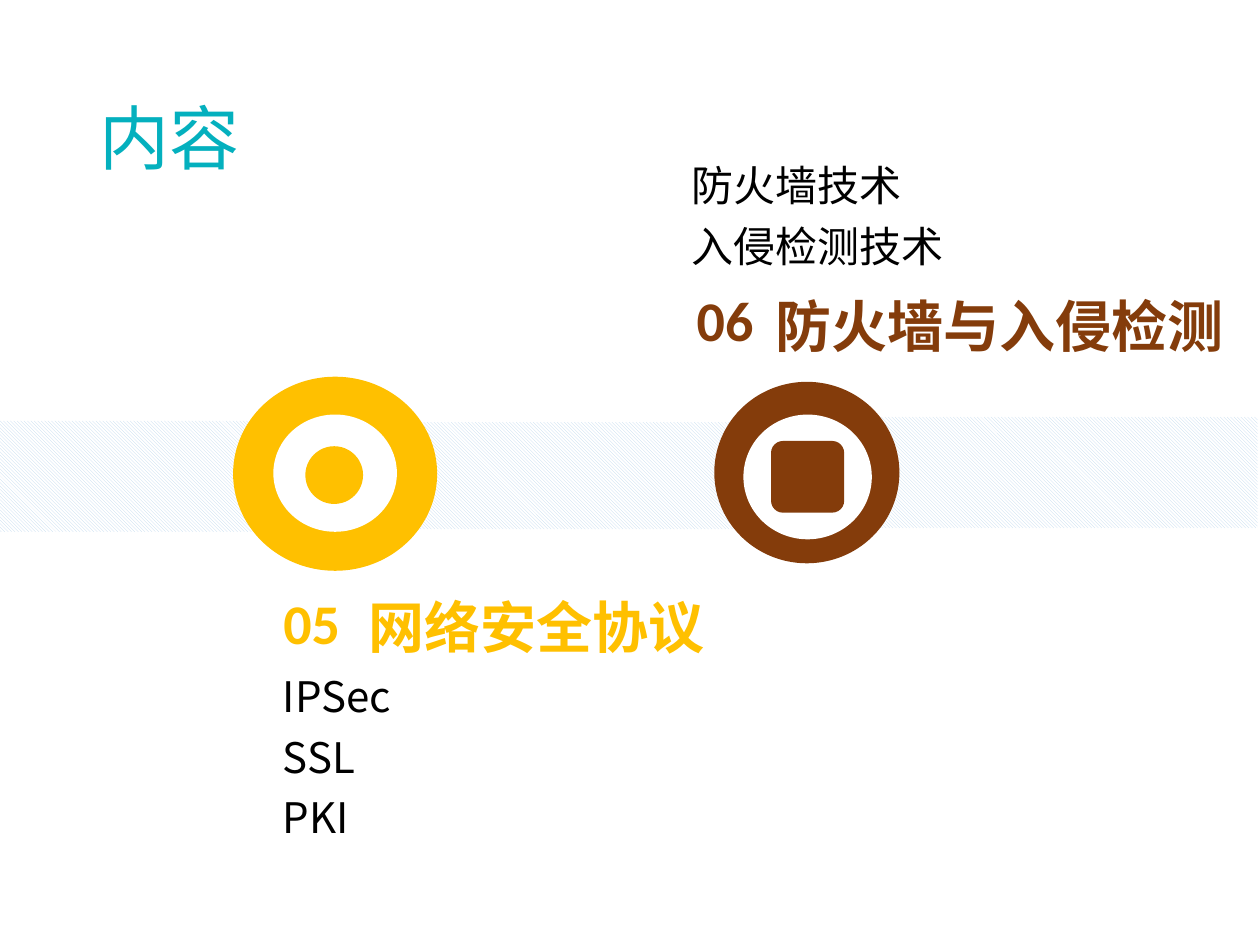
"""Builds a contents slide with two topics along a hatched band."""
import pptx
import pptx.dml.color
import pptx.enum.dml
import pptx.enum.shapes
import pptx.enum.text
import pptx.util
from lxml import etree

Pt = pptx.util.Pt
KIND = pptx.enum.shapes.MSO_SHAPE
ANCHOR = pptx.enum.text.MSO_ANCHOR
HAN = "Noto Sans CJK SC"
COLORS = {
    "title": "04B0BE",
    "gold": "FFC000",
    "brown": "843C0B",
    "hatch": "BDD7EE",
    "white": "FFFFFF",
    "black": "000000",
}


def tint(name):
    """Return the named colour."""
    return pptx.dml.color.RGBColor.from_string(COLORS[name])


def add_form(slide, kind, box):
    """Add a preset shape without line or shadow."""
    form = slide.shapes.add_shape(kind, *map(Pt, box))
    form.shadow.inherit = False
    form.line.fill.background()
    return form


def add_band(slide, box):
    """Add a hatched part of the band."""
    fill = add_form(slide, KIND.RECTANGLE, box).fill
    fill.patterned()
    fill.pattern = pptx.enum.dml.MSO_PATTERN.DARK_DOWNWARD_DIAGONAL
    fill.fore_color.rgb = tint("hatch")
    fill.back_color.rgb = tint("white")


def add_solid(slide, kind, box, color):
    """Add a shape of one colour."""
    fill = add_form(slide, kind, box).fill
    fill.solid()
    fill.fore_color.rgb = tint(color)


def add_badge(slide, ring, hole, mark, kind, color):
    """Add a ring with a plain mark in its middle."""
    add_solid(slide, KIND.OVAL, ring, color)
    add_solid(slide, KIND.OVAL, hole, "white")
    add_solid(slide, kind, mark, color)


def add_text(slide, box, text, size, color, font="Calibri", bold=False,
             gap=1.0, inset=(4, 0, 7, 0), anchor=ANCHOR.MIDDLE):
    """Add a text box in one style."""
    frame = slide.shapes.add_textbox(*map(Pt, box)).text_frame
    frame.word_wrap = True
    frame.vertical_anchor = anchor
    frame.margin_left, frame.margin_top, frame.margin_right, frame.margin_bottom = map(Pt, inset)
    frame.text = text
    for line in frame.paragraphs:
        line.line_spacing = gap
        for run in line.runs:
            run.font.size = Pt(size)
            run.font.bold = bold
            run.font.name = font
            run.font.color.rgb = tint(color)
            east = etree.SubElement(run._r.get_or_add_rPr(), pptx.oxml.ns.qn("a:ea"))
            east.set("typeface", HAN)


def add_topic(slide, color, number, spot, head, place, items, area):
    """Add a topic's number, heading and list."""
    add_text(slide, spot, number, 32, color, bold=True,
             inset=(7.2, 3.6, 7.2, 3.6), anchor=ANCHOR.TOP)
    add_text(slide, place, head, 32, color, bold=True)
    add_text(slide, area, "\n".join(items), 24, "black", font=HAN, gap=1.2)


def main():
    """Build and save the slide."""
    deck = pptx.Presentation()
    deck.slide_width, deck.slide_height = Pt(720), Pt(540)
    slide = deck.slides.add_slide(deck.slide_layouts[6])

    for box in ((445, 238.3, 273.6, 63.4), (0, 240.5, 179.3, 63.4), (203, 241.2, 242, 61.2)):
        add_band(slide, box)
    add_text(slide, (49.7, 55.4, 96, 51.1), "内容", 40, "title", font="Arial",
             gap=0.9, inset=(7.2, 3.6, 7.2, 3.6))

    add_topic(slide, "gold", "05", (154.8, 332.6, 70.6, 51.1),
              "网络安全协议", (206.6, 337, 214.6, 41.8),
              ("IPSec", "SSL", "PKI"), (157.7, 376.6, 206, 105.8))
    add_topic(slide, "brown", "06", (391, 159.8, 65.5, 51.1),
              "防火墙与入侵检测", (439.2, 164.9, 270.7, 41.8),
              ("防火墙技术", "入侵检测技术"), (391, 82, 235.4, 76.3))

    add_badge(slide, (408.2, 218.2, 105.8, 103.7), (424.8, 236.9, 73.4, 71.3),
              (440.6, 252, 41.8, 41), KIND.ROUNDED_RECTANGLE, "brown")
    add_badge(slide, (133.2, 215.3, 116.6, 110.9), (156.2, 236.9, 70.6, 67),
              (174.5, 255, 33, 33), KIND.OVAL, "gold")
    deck.save("out.pptx")


if __name__ == "__main__":
    main()
